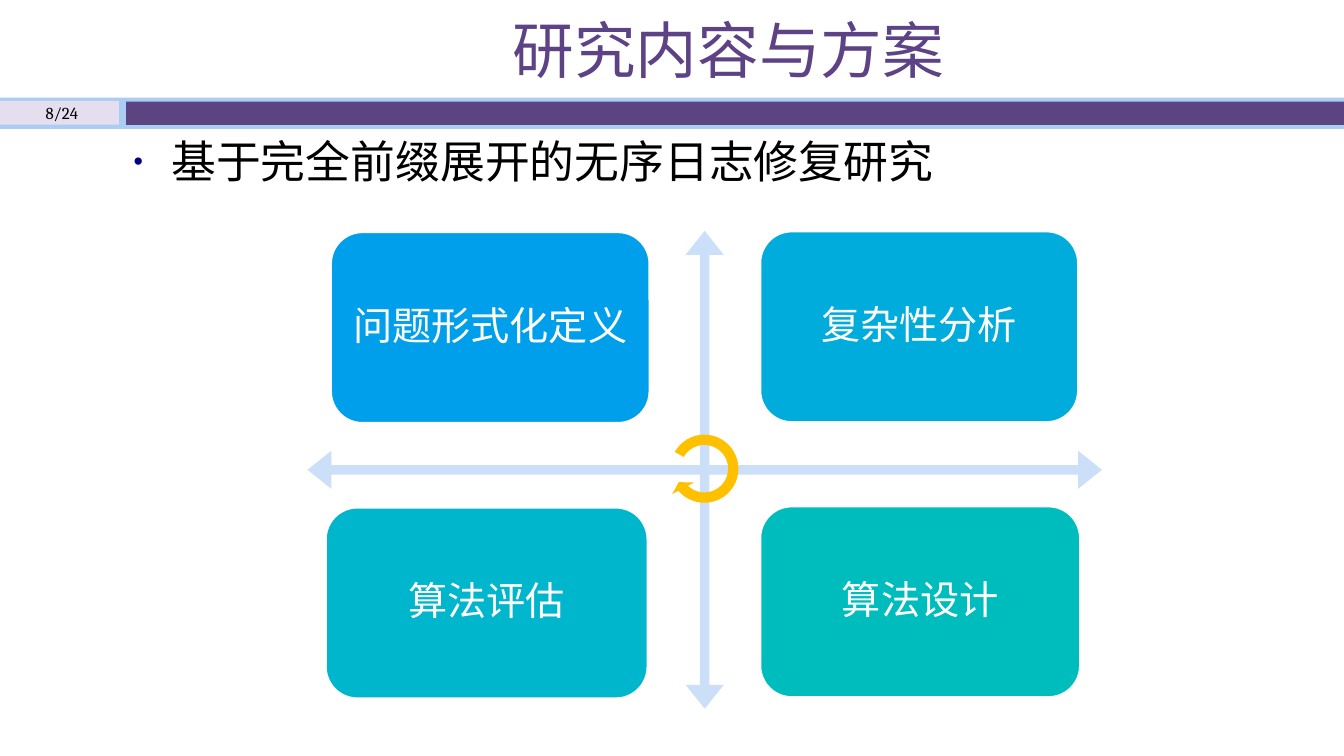
"""Build the research content slide with a four-part cycle diagram."""
from dataclasses import dataclass

from lxml import etree
from pptx import Presentation
from pptx import util as u
from pptx.dml.color import RGBColor
from pptx.enum import shapes, text
from pptx.oxml.ns import qn
from pptx.shapes.autoshape import Shape
from pptx.slide import Slide
from pptx.text.text import TextFrame, _Paragraph

WHITE = RGBColor(0xFF, 0xFF, 0xFF)
BLACK = RGBColor(0x00, 0x00, 0x00)
PURPLE = RGBColor(0x5D, 0x43, 0x85)
BAR_PURPLE = RGBColor(0x5C, 0x43, 0x81)
LAVENDER = RGBColor(0xE5, 0xDE, 0xEF)
LIGHT_BLUE = RGBColor(0xAB, 0xCD, 0xF4)
PALE_BLUE = RGBColor(0xCC, 0xDF, 0xF8)
AMBER = RGBColor(0xFF, 0xC0, 0x00)
BLUE = RGBColor(0x00, 0x9F, 0xEC)
SKY = RGBColor(0x00, 0xAC, 0xDC)
CYAN = RGBColor(0x00, 0xB6, 0xCD)
TEAL = RGBColor(0x00, 0xBD, 0xBD)
BULLET_COLOR = "000082"
CJK_FONT = "Noto Sans CJK SC"
KIND = shapes.MSO_SHAPE


@dataclass(frozen=True)
class Box:
    left: float
    top: float
    width: float
    height: float

    def lengths(self) -> tuple[u.Cm, u.Cm, u.Cm, u.Cm]:
        return u.Cm(self.left), u.Cm(self.top), u.Cm(self.width), u.Cm(self.height)


@dataclass(frozen=True)
class Card:
    label: str
    box: Box
    color: RGBColor


BANDS = (
    (Box(0, 2.46, 33.87, 0.79), LIGHT_BLUE),
    (Box(0, 2.54, 3, 0.6), LAVENDER),
    (Box(3.18, 2.56, 30.69, 0.59), BAR_PURPLE),
)
CARDS = (
    Card("问题形式化定义", Box(8.33, 5.84, 8.05, 4.83), BLUE),
    Card("复杂性分析", Box(19.15, 5.82, 8.03, 4.83), SKY),
    Card("算法评估", Box(8.2, 12.78, 8.13, 4.83), CYAN),
    Card("算法设计", Box(19.15, 12.75, 8.08, 4.83), TEAL),
)


def add_filled(slide: Slide, kind: KIND, box: Box, color: RGBColor,
               adjustments: tuple[float, ...] = ()) -> Shape:
    shape = slide.shapes.add_shape(kind, *box.lengths())
    shape.shadow.inherit = False
    shape.fill.solid()
    shape.fill.fore_color.rgb = color
    shape.line.fill.background()
    for index, value in enumerate(adjustments):
        shape.adjustments[index] = value
    return shape


def write(frame: TextFrame, content: str, size: float, font: str, color: RGBColor,
          align: text.PP_ALIGN = text.PP_ALIGN.CENTER,
          anchor: text.MSO_ANCHOR = text.MSO_ANCHOR.MIDDLE) -> _Paragraph:
    frame.word_wrap = True
    frame.auto_size = text.MSO_AUTO_SIZE.NONE
    frame.vertical_anchor = anchor
    paragraph = frame.paragraphs[0]
    paragraph.alignment = align
    run = paragraph.add_run()
    run.text = content
    run.font.size = u.Pt(size)
    run.font.name = font
    run.font.color.rgb = color
    east_asian = etree.SubElement(run.font._element, qn("a:ea"))
    east_asian.set("typeface", CJK_FONT)
    return paragraph


def add_bullet(paragraph: _Paragraph, indent: u.Cm) -> None:
    properties = paragraph._p.get_or_add_pPr()
    properties.set("marL", str(indent))
    properties.set("indent", str(-indent))
    color = etree.SubElement(properties, qn("a:buClr"))
    etree.SubElement(color, qn("a:srgbClr")).set("val", BULLET_COLOR)
    etree.SubElement(properties, qn("a:buSzPct")).set("val", "60000")
    etree.SubElement(properties, qn("a:buFont")).set("typeface", "Arial")
    etree.SubElement(properties, qn("a:buChar")).set("char", "•")


def add_header(slide: Slide) -> None:
    for box, color in BANDS:
        add_filled(slide, KIND.RECTANGLE, box, color)
    title = slide.shapes.title
    title.left, title.top, title.width, title.height = Box(3.12, 0.08, 30.48, 2.29).lengths()
    write(title.text_frame, "研究内容与方案", 44, "Calibri", PURPLE)
    number = slide.shapes.add_textbox(*Box(0, 2.44, 3.12, 0.79).lengths())
    write(number.text_frame, "8/24", 12, "Cambria", BLACK)


def add_topic(slide: Slide) -> None:
    topic = slide.shapes.add_textbox(*Box(3.12, 3.25, 30.48, 2.11).lengths())
    paragraph = write(topic.text_frame, "基于完全前缀展开的无序日志修复研究", 32, CJK_FONT,
                      BLACK, text.PP_ALIGN.LEFT, text.MSO_ANCHOR.TOP)
    add_bullet(paragraph, u.Cm(0.95))


def add_card(slide: Slide, card: Card) -> None:
    shape = add_filled(slide, KIND.ROUNDED_RECTANGLE, card.box, card.color)
    shape.line.color.rgb = WHITE
    shape.line.width = u.Pt(2)
    frame = shape.text_frame
    frame.margin_left = frame.margin_right = u.Cm(0.25)
    paragraph = write(frame, card.label, 28, CJK_FONT, WHITE)
    paragraph.line_spacing = 0.9


def add_diagram(slide: Slide) -> None:
    add_filled(slide, KIND.QUAD_ARROW, Box(7.75, 5.82, 20.02, 12.04), PALE_BLUE,
               (0.02, 0.04, 0.05))
    for card in CARDS:
        add_card(slide, card)
    cycle = add_filled(slide, KIND.CIRCULAR_ARROW, Box(16.71, 10.77, 2.08, 2.08), AMBER,
                       (0.125, 9, 204.58, 31.91, 0.15))
    cycle.rotation = 156.3


def main() -> None:
    presentation = Presentation()
    presentation.slide_width = u.Cm(33.87)
    presentation.slide_height = u.Cm(19.05)
    slide = presentation.slides.add_slide(presentation.slide_layouts[5])
    add_header(slide)
    add_topic(slide)
    add_diagram(slide)
    presentation.save("out.pptx")


if __name__ == "__main__":
    main()
